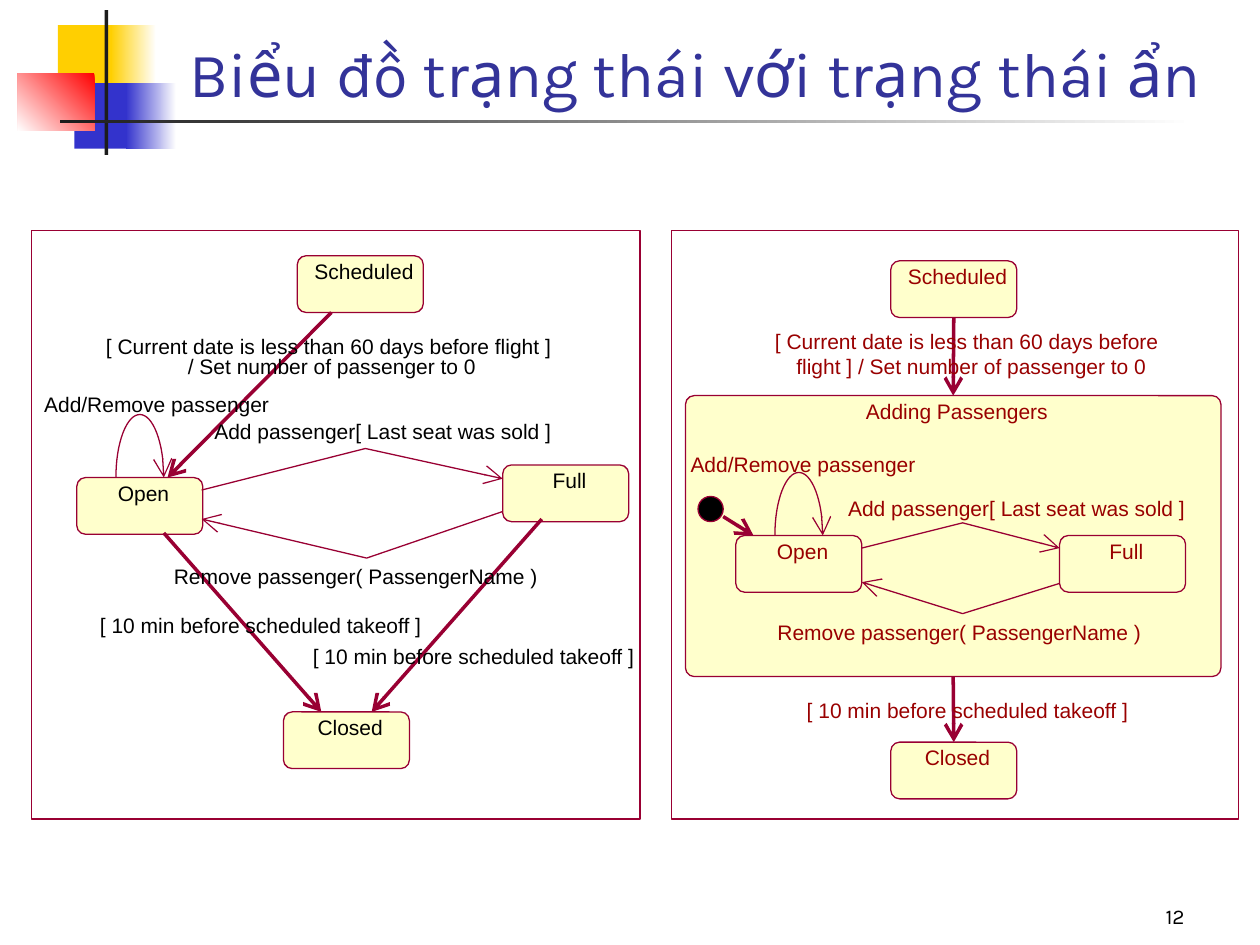
import math

import lxml.etree
import pptx
import pptx.dml.color
import pptx.enum.shapes
import pptx.enum.text
import pptx.oxml.ns
import pptx.util

Inches = pptx.util.Inches
Pt = pptx.util.Pt
RGBColor = pptx.dml.color.RGBColor
Shape = pptx.enum.shapes.MSO_SHAPE
Align = pptx.enum.text.PP_ALIGN
Anchor = pptx.enum.text.MSO_ANCHOR
qn = pptx.oxml.ns.qn

WHITE = RGBColor(0xFF, 0xFF, 0xFF)
BLACK = RGBColor(0, 0, 0)
CHARCOAL = RGBColor(0x1C, 0x1C, 0x1C)
GOLD = RGBColor(0xFF, 0xCF, 0x01)
BLUE = RGBColor(0x33, 0x33, 0xCC)
RED = RGBColor(0xFF, 0, 0)
TITLE_BLUE = RGBColor(0x33, 0x33, 0x99)
CREAM = RGBColor(0xFF, 0xFF, 0xCC)
OUTLINE = RGBColor(0x99, 0x00, 0x33)
MAROON = RGBColor(0x99, 0, 0)


class StateDiagramSlide:
    heading_font = "Karla"
    label_font = "Arial"
    label_size = 12
    corner_radius = 0.07
    state_height = 0.45

    def __init__(self, presentation):
        self.slide = presentation.slides.add_slide(presentation.slide_layouts[6])
        self.ink = BLACK

    def apply(self, target, formats):
        for name, value in formats.items():
            setattr(target, name, value)

    def outline(self, shape):
        shape.line.color.rgb = OUTLINE
        shape.line.width = Pt(0)

    def set_text(self, shape, text, font, align=Align.CENTER, anchor=Anchor.TOP,
                 wrap=False, insets=(0, 0, 0, 0)):
        frame = shape.text_frame
        left, top, right, bottom = map(Inches, insets)
        self.apply(frame, {
            "word_wrap": wrap, "vertical_anchor": anchor,
            "margin_left": left, "margin_top": top,
            "margin_right": right, "margin_bottom": bottom,
        })
        paragraph = frame.paragraphs[0]
        paragraph.alignment = align
        run = paragraph.add_run()
        run.text = text
        name, size, color = font
        self.apply(run.font, {"name": name, "size": Pt(size)})
        run.font.color.rgb = color

    def block(self, kind, box, fill=None, outlined=False):
        shape = self.slide.shapes.add_shape(kind, *map(Inches, box))
        shape.shadow.inherit = False
        if fill is None:
            shape.fill.background()
        else:
            shape.fill.solid()
            shape.fill.fore_color.rgb = fill
        if outlined:
            self.outline(shape)
        else:
            shape.line.fill.background()
        return shape

    def fade(self, box, start, end, angle):
        fill = self.block(Shape.RECTANGLE, box).fill
        fill.gradient()
        fill.gradient_angle = angle
        for stop, color in zip(fill.gradient_stops, (start, end)):
            stop.color.rgb = color

    def heading(self, text, box, size, color, align):
        shape = self.slide.shapes.add_textbox(*map(Inches, box))
        self.set_text(shape, text, (self.heading_font, size, color), align,
                      Anchor.BOTTOM, True, (0.1, 0.05, 0.1, 0.05))

    def label(self, text, left, top, width):
        shape = self.slide.shapes.add_textbox(*map(Inches, (left, top, width, 0.2)))
        self.set_text(shape, text, (self.label_font, self.label_size, self.ink))

    def state(self, name, left, top, width=1, height=state_height):
        shape = self.block(Shape.ROUNDED_RECTANGLE, (left, top, width, height), CREAM, True)
        shape.adjustments[0] = self.corner_radius / height
        self.set_text(shape, name, (self.label_font, self.label_size, self.ink),
                      insets=(0.06, 0, 0, 0))
        return shape

    def arrowhead(self, shape):
        self.outline(shape)
        line = shape._element.spPr.find(qn("a:ln"))
        lxml.etree.SubElement(line, qn("a:tailEnd"), type="arrow", w="lg", len="lg")

    def arrow(self, start, end, source=None, target=None):
        connector = self.slide.shapes.add_connector(
            pptx.enum.shapes.MSO_CONNECTOR.STRAIGHT, *map(Inches, start + end))
        if source is not None:
            connector.begin_connect(source, 2)
        if target is not None:
            connector.end_connect(target, 0)
        self.arrowhead(connector)
        lxml.etree.SubElement(connector._element.spPr, qn("a:effectLst"))

    def bent_arrow(self, points):
        corners = [tuple(map(Inches, point)) for point in points]
        builder = self.slide.shapes.build_freeform(*corners[0])
        builder.add_line_segments(corners[1:], close=False)
        shape = builder.convert_to_shape()
        shape.shadow.inherit = False
        shape.fill.background()
        self.arrowhead(shape)

    def self_loop(self, center, base, radius=0.19, height=0.5, steps=32):
        angles = [math.pi * step / steps for step in range(steps + 1)]
        self.bent_arrow([(center - radius * math.cos(angle), base - height * math.sin(angle))
                         for angle in angles])


def draw_header(page):
    page.block(Shape.RECTANGLE, (0.46, 0.2, 0.48, 0.52), GOLD)
    page.fade((0.88, 0.2, 0.36, 0.52), WHITE, GOLD, 180)
    page.block(Shape.RECTANGLE, (0.59, 0.66, 0.46, 0.52), BLUE)
    page.fade((1, 0.66, 0.4, 0.52), WHITE, BLUE, 180)
    page.fade((0.14, 0.58, 0.61, 0.46), RED, WHITE, 225)
    page.block(Shape.RECTANGLE, (0.83, 0.08, 0.03, 1.15), CHARCOAL)
    page.fade((0.48, 0.95, 9, 0.03), WHITE, CHARCOAL, 180)
    page.heading("Biểu đồ trạng thái với trạng thái ẩn", (1.26, 0.08, 8.52, 0.84),
                 36, TITLE_BLUE, Align.CENTER)


def draw_flat_diagram(page):
    page.ink = BLACK
    page.block(Shape.RECTANGLE, (0.25, 1.83, 4.83, 4.67), outlined=True)
    for name, left, top in (("Scheduled", 2.36, 2.03), ("Open", 0.61, 3.79),
                            ("Full", 3.99, 3.69), ("Closed", 2.25, 5.65)):
        page.state(name, left, top)
    page.self_loop(1.11, 3.79)
    for start, end in (((2.63, 2.48), (1.33, 3.79)), ((1.3, 4.23), (2.55, 5.65)),
                       ((4.3, 4.12), (2.95, 5.65))):
        page.arrow(start, end)
    page.bent_arrow([(1.6, 3.89), (2.9, 3.56), (3.99, 3.8)])
    page.bent_arrow([(3.99, 4.06), (2.91, 4.43), (1.6, 4.12)])
    for label in (
        ("[ Current date is less than 60 days before flight ]", 0.84, 2.65, 3.54),
        ("/ Set number of passenger to 0", 1.49, 2.81, 2.29),
        ("Add/Remove passenger", 0.35, 3.11, 1.79),
        ("Add passenger[ Last seat was sold ]", 1.7, 3.32, 2.68),
        ("Remove passenger( PassengerName )", 1.38, 4.47, 2.89),
        ("[ 10 min before scheduled takeoff ]", 0.79, 4.86, 2.56),
        ("[ 10 min before scheduled takeoff ]", 2.48, 5.11, 2.56),
    ):
        page.label(*label)


def draw_nested_diagram(page):
    page.ink = MAROON
    scheduled = page.state("Scheduled", 7.07, 2.07)
    closed = page.state("Closed", 7.07, 5.89)
    adding = page.state("Adding Passengers", 5.44, 3.14, 4.25, 2.23)
    page.state("Open", 5.84, 4.25)
    page.state("Full", 8.41, 4.25)
    page.self_loop(6.34, 4.25)
    page.bent_arrow([(6.84, 4.35), (7.64, 4.15), (8.41, 4.35)])
    page.bent_arrow([(8.41, 4.63), (7.64, 4.87), (6.84, 4.62)])
    page.arrow((7.57, 2.52), (7.57, 3.14), scheduled, adding)
    page.arrow((7.57, 5.37), (7.57, 5.89), adding, closed)
    page.block(Shape.OVAL, (5.54, 3.94, 0.2, 0.2), BLACK, True)
    page.arrow((5.74, 4.1), (5.98, 4.25))
    for label in (
        ("[ Current date is less than 60 days before", 6.15, 2.61, 3.05),
        ("flight ] / Set number of passenger to 0", 6.32, 2.81, 2.78),
        ("Add/Remove passenger", 5.48, 3.58, 1.79),
        ("Add passenger[ Last seat was sold ]", 6.73, 3.93, 2.68),
        ("Remove passenger( PassengerName )", 6.17, 4.92, 2.89),
        ("[ 10 min before scheduled takeoff ]", 6.4, 5.54, 2.56),
    ):
        page.label(*label)
    page.block(Shape.RECTANGLE, (5.33, 1.83, 4.5, 4.67), outlined=True)


def main():
    presentation = pptx.Presentation()
    presentation.slide_width = Inches(10)
    presentation.slide_height = Inches(7.5)
    page = StateDiagramSlide(presentation)
    draw_header(page)
    draw_flat_diagram(page)
    draw_nested_diagram(page)
    page.heading("12", (7.42, 6.92, 2.08, 0.5), 12, BLACK, Align.RIGHT)
    presentation.save("out.pptx")


if __name__ == "__main__":
    main()
